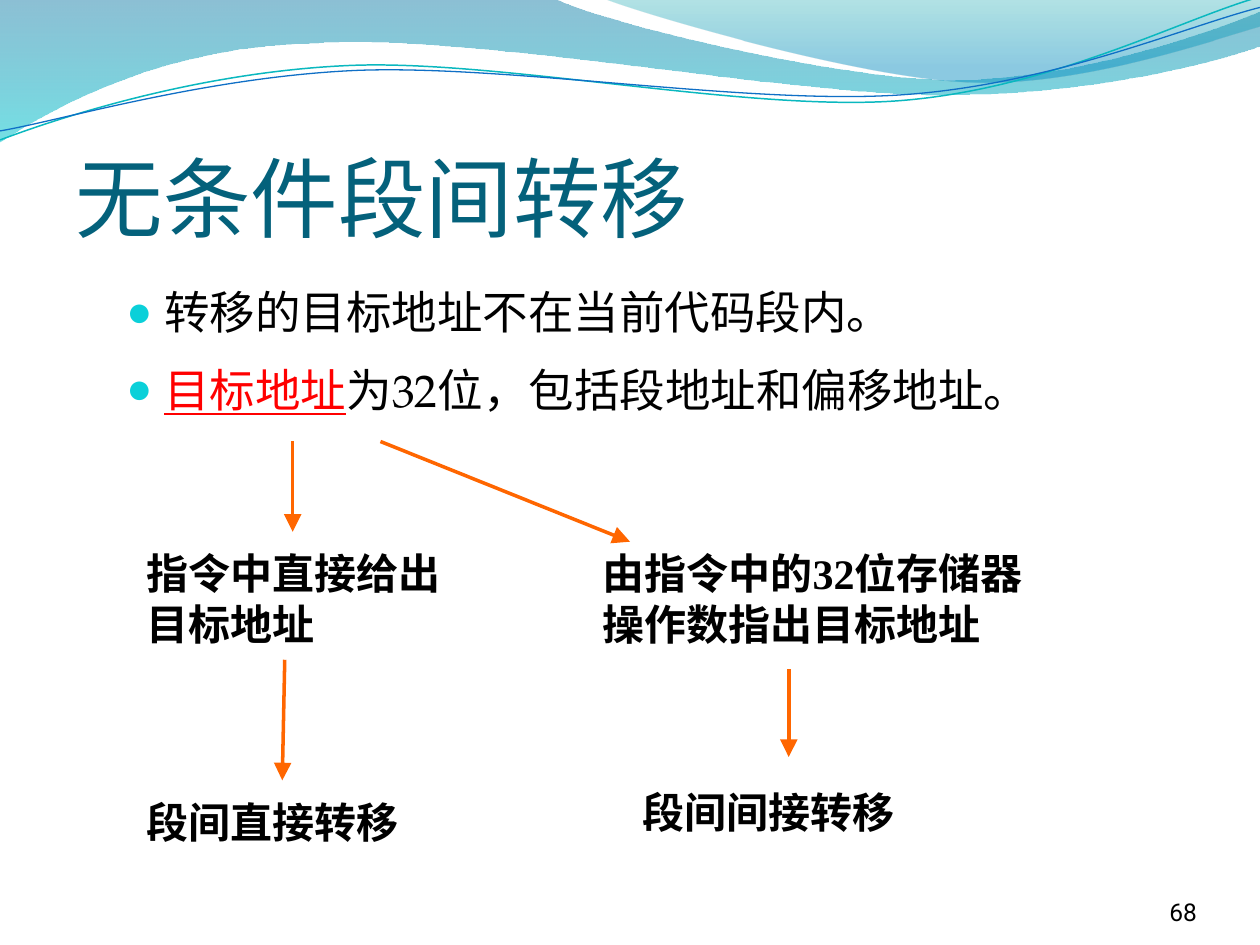
from dataclasses import dataclass
from math import cos, radians, sin

from lxml.etree import SubElement
from pptx import Presentation
from pptx.dml.color import RGBColor
from pptx.enum.shapes import MSO_CONNECTOR
from pptx.enum.text import MSO_ANCHOR, MSO_AUTO_SIZE, PP_ALIGN
from pptx.oxml.ns import qn
from pptx.util import Cm, Pt


@dataclass(frozen=True)
class Theme:
    title: str = "04617B"
    text: str = "000000"
    accent: str = "FF0000"
    bullet: str = "0BD0D9"
    arrow: str = "FF6600"
    title_font: str = "Calibri"
    body_font: str = "TeX Gyre Pagella"
    label_font: str = "Times New Roman"
    number_font: str = "Roboto"
    title_size: int = 50
    body_size: int = 26
    label_size: int = 24
    number_size: int = 14


@dataclass(frozen=True)
class Box:
    """A region of the slide, in centimetres."""
    left: float
    top: float
    width: float
    height: float

    def inner(self, x, y, width, height):
        return Box(self.left + x, self.top + y, width, height)

    def point(self, x, y):
        return Cm(self.left + x), Cm(self.top + y)

    def lengths(self):
        return Cm(self.left), Cm(self.top), Cm(self.width), Cm(self.height)


THEME = Theme()
WAVE_TILT = -2.7

# Wave outlines: a start point, then lines (1 point) or Bézier curves (3 points)
WAVE_BAND = [
    [(0, 0)], [(11.18, -0.03)],
    [(12.09, 0.43), (16.87, 1.6), (19.25, 1.6)],
    [(21.67, 1.6), (24.33, 0.66), (25.4, 0.23)], [(25.43, 0.91)],
    [(24.97, 1.12), (22.1, 1.93), (18.95, 1.91)],
    [(15.8, 1.91), (9.7, 0.71), (6.53, 0.86)],
    [(3.28, 0.91), (1.17, 2.11), (-0.03, 2.87)],
]
WAVE_CREST = [
    [(12.17, -0.03)],
    [(12.93, 0.28), (17.32, 1.57), (19.53, 1.65)],
    [(21.74, 1.75), (24.41, 0.81), (25.4, 0.53)], [(25.4, 0)],
]
TEAL_LINE = [
    [(0, 2.82)],
    [(1.22, 2.36), (4.01, 1.45), (7.04, 1.32)],
    [(10.03, 1.19), (15.06, 2.26), (18.11, 2.03)],
    [(21.16, 1.8), (23.83, 0.38), (25.35, -0.05)],
]
BLUE_LINE = [
    [(0, 2.64)],
    [(1.19, 2.44), (4.17, 1.55), (7.19, 1.42)],
    [(10.24, 1.3), (15.16, 2.13), (18.21, 1.91)],
    [(21.23, 1.7), (23.9, 0.53), (25.4, 0.15)],
]


def color(value):
    return RGBColor.from_string(value)


def add_run(paragraph, text, font_name, size, rgb, bold=False, underline=False):
    run = paragraph.add_run()
    run.text = text
    font = run.font
    font.name, font.size, font.bold = font_name, Pt(size), bold
    font.underline = underline
    font.color.rgb = color(rgb)


def add_text_frame(slide, box):
    frame = slide.shapes.add_textbox(*box.lengths()).text_frame
    frame.word_wrap = True
    return frame


def turn(segments, center, degrees):
    angle = radians(degrees)
    center_x, center_y = center
    return [[(center_x + (x - center_x) * cos(angle) - (y - center_y) * sin(angle),
              center_y + (x - center_x) * sin(angle) + (y - center_y) * cos(angle))
             for x, y in segment] for segment in segments]


def add_outline(slide, box, segments, close):
    placed = [[box.point(*point) for point in segment] for segment in segments]
    builder = slide.shapes.build_freeform(*placed[0][0])
    builder.add_line_segments([segment[-1] for segment in placed[1:]], close=close)
    shape = builder.convert_to_shape()
    shape.shadow.inherit = False
    # Turn the straight steps that have control points into curves
    steps = list(shape.element.iter(qn("a:lnTo")))
    for step, segment in zip(steps, placed[1:]):
        if len(segment) == 3:
            curve = SubElement(step.getparent(), qn("a:cubicBezTo"))
            step.getparent().replace(step, curve)
            for x, y in segment:
                SubElement(curve, qn("a:pt"), x=str(x - shape.left), y=str(y - shape.top))
    return shape


def add_banner(slide, box):
    # Translucent bands, each with stops of (position, colour, opacity in percent)
    bands = [
        (WAVE_BAND, [(0, "0074A1", 45), (1, "00C6CF", 55)]),
        (WAVE_CREST, [(0, "00A1A9", 30), (0.8, "008BBF", 45)]),
    ]
    for segments, stops in bands:
        shape = add_outline(slide, box, segments, close=True)
        shape.line.fill.background()
        shape.fill.gradient()
        shape.fill.gradient_angle = 270
        for stop, (position, rgb, _) in zip(shape.fill.gradient_stops, stops):
            stop.position = position
            stop.color.rgb = color(rgb)
        for element, (_, _, opacity) in zip(shape.element.spPr.iter(qn("a:srgbClr")), stops):
            SubElement(element, qn("a:alpha"), val=str(opacity * 1000))
    # Thin tilted wave lines
    lines = [(TEAL_LINE, (12.67, 1.46), "0AB8BF", 0.85),
             (BLUE_LINE, (12.69, 1.5), "0F6FC6", 0.75)]
    for segments, center, rgb, width in lines:
        shape = add_outline(slide, box, turn(segments, center, -WAVE_TILT), close=False)
        shape.rotation = WAVE_TILT
        shape.fill.background()
        shape.line.color.rgb = color(rgb)
        shape.line.width = Pt(width)


def add_title(slide, box, text):
    title = slide.shapes.title
    title.element.getparent().append(title.element)  # in front of the banner
    title.left, title.top, title.width, title.height = box.lengths()
    frame = title.text_frame
    frame.auto_size = MSO_AUTO_SIZE.NONE
    frame.vertical_anchor = MSO_ANCHOR.BOTTOM
    paragraph = frame.paragraphs[0]
    paragraph.alignment = PP_ALIGN.LEFT
    add_run(paragraph, text, THEME.title_font, THEME.title_size, THEME.title)


def add_bullets(slide, box, items):
    frame = add_text_frame(slide, box)
    for index, runs in enumerate(items):
        paragraph = frame.add_paragraph() if index else frame.paragraphs[0]
        properties = paragraph._p.get_or_add_pPr()
        properties.set("marL", str(Cm(0.76)))
        properties.set("indent", str(-Cm(0.76)))
        bullet_color = SubElement(properties, qn("a:buClr"))
        SubElement(bullet_color, qn("a:srgbClr"), val=THEME.bullet)
        SubElement(properties, qn("a:buSzPct"), val="95000")
        SubElement(properties, qn("a:buFont"), typeface=THEME.label_font)
        SubElement(properties, qn("a:buChar"), char="●")
        if index:
            paragraph.space_before = Pt(THEME.body_size / 2)
        for text, marked in runs:
            add_run(paragraph, text, THEME.body_font, THEME.body_size,
                    THEME.accent if marked else THEME.text, underline=marked)


def add_arrow(slide, start, end):
    connector = slide.shapes.add_connector(MSO_CONNECTOR.STRAIGHT, *start, *end)
    connector.line.color.rgb = color(THEME.arrow)
    connector.line.width = Pt(2)
    SubElement(connector.line._get_or_add_ln(), qn("a:tailEnd"),
               type="triangle", w="lg", len="lg")
    SubElement(connector._element.spPr, qn("a:effectLst"))


def add_label(slide, box, text):
    frame = add_text_frame(slide, box)
    frame.auto_size = MSO_AUTO_SIZE.SHAPE_TO_FIT_TEXT
    add_run(frame.paragraphs[0], text, THEME.label_font, THEME.label_size,
            THEME.text, bold=True)


def add_branch(slide, box, source, result, result_at, arrows):
    """Place a source label above its result, with the arrows leading to each."""
    add_label(slide, box.inner(0, 2.02, box.width, 2.29), source)
    add_label(slide, box.inner(*result_at, 6.55, 1.27), result)
    for start, end in arrows:
        add_arrow(slide, box.point(*start), box.point(*end))


def add_page_number(slide, box, number):
    frame = add_text_frame(slide, box)
    frame.margin_left = frame.margin_right = frame.margin_top = frame.margin_bottom = 0
    frame.vertical_anchor = MSO_ANCHOR.BOTTOM
    paragraph = frame.paragraphs[0]
    paragraph.alignment = PP_ALIGN.RIGHT
    add_run(paragraph, number, THEME.number_font, THEME.number_size, THEME.text)


def main():
    presentation = Presentation()
    presentation.slide_width, presentation.slide_height = Cm(25.4), Cm(19.05)
    slide = presentation.slides.add_slide(presentation.slide_layouts[5])

    add_banner(slide, Box(0, 0, 25.4, 2.87))
    add_page_number(slide, Box(22.02, 17.65, 2.11, 1.02), "68")
    add_title(slide, Box(1.27, 1.96, 22.86, 3.18), "无条件段间转移")
    add_bullets(slide, Box(2.3, 5.61, 21.59, 4.32), [
        [("转移的目标地址不在当前代码段内。", False)],
        [("目标地址", True), ("为32位，包括段地址和偏移地址。", False)],
    ])
    # Direct and indirect transfers
    add_branch(slide, Box(2.7, 8.9, 6.55, 8.3),
               "指令中直接给出目标地址", "段间直接转移", (0, 7.03),
               [((3.2, 0), (3.2, 1.82)), ((3.04, 4.4), (2.99, 6.83))])
    add_branch(slide, Box(11.9, 8.9, 9.4, 8.1),
               "由指令中的32位存储器操作数指出目标地址", "段间间接转移", (0.8, 6.83),
               [((-4.23, 0), (0.8, 2.02)), ((4, 4.59), (4, 6.36))])
    presentation.save("out.pptx")


if __name__ == "__main__":
    main()
